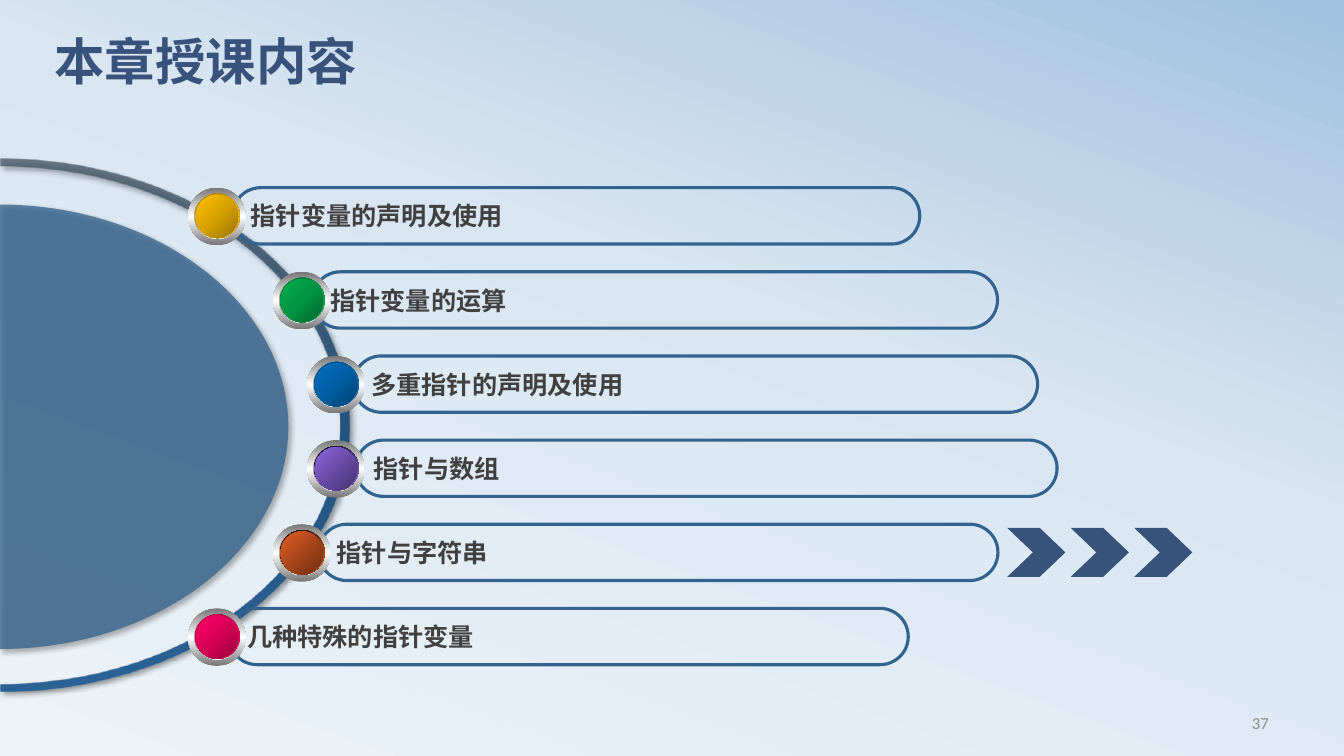
from pptx import Presentation
from pptx import util as u
from pptx.dml.color import RGBColor
from pptx.enum import shapes, text
from pptx.oxml import parse_xml
from pptx.oxml.ns import nsdecls, qn

Cm = u.Cm
TITLE = "本章授课内容"
PAGE = "37"
CJK = "Noto Sans CJK SC"
NAVY, BLUE, GREY, DARK = "39527B", "32628E", "8C8C8C", "404040"

# Gradients: stops as (position, colour), then angle or "circle"
BACKDROP = [(0, "ECF3F8"), (58, "D9E6F2"), (100, "A1C1DE")], 290
RING = [(0, "445462", 75), (50, "24537D"), (100, "2B6295")], 0
OUTER_METAL = [(0, "767676"), (50, "FFFFFF"), (100, "767676")], 90
INNER_METAL = [(0, "A2A2A2"), (50, "FFFFFF"), (100, "A2A2A2")], 0


def glossy(dark, mid, light, face="circle"):
    stops = [(0, dark), (50, mid), (100, light)]
    return (stops, 45), (stops, face)


def black_rimmed(light, dark):
    return ([(0, "000000"), (100, light)], 45), ([(0, light), (100, dark)], 45)


# Topic, pill left, pill width, bead left (cm), bead rim and face
TOPICS = [
    ("指针变量的声明及使用", 5.86, 17.32, 4.74, glossy("977200", "D7A200", "FFC000")),
    ("指针变量的运算", 7.87, 17.27, 6.88, glossy("00682F", "009443", "00B050")),
    ("多重指针的声明及使用", 8.9, 17.25, 7.74, glossy("004272", "005EA2", "0070C0")),
    ("指针与数组", 8.96, 17.68, 7.74, black_rimmed("8D67E1", "45326D")),
    ("指针与字符串", 8.03, 17.12, 6.88, black_rimmed("E35E23", "6E2E11")),
    ("几种特殊的指针变量", 5.77, 17.12, 4.74, glossy("97003C", "D70056", "FF0066", 225)),
]
FIRST_TOP, PITCH, PILL_H = 4.73, 2.12, 1.42
# Bead layers: offset x, offset y, width, height (cm)
BEAD = [(0, 0, 1.45, 1.45), (0.15, 0.15, 1.17, 1.14),
        (0.18, 0.15, 1.12, 1.12), (0.19, 0.18, 1.07, 1.09)]
CURRENT = 4  # row marked by the chevrons
CHEVRON_LEFT, CHEVRON_PITCH, CHEVRON_W, CHEVRON_H = 25.38, 1.6, 1.47, 1.24
# Frames turned by 90 degrees: left, top, width, height (cm)
RING_FRAME = -6.83, 1.78, 13.41, 17.86
DISC_FRAME = -5.61, 3.48, 11.2, 14.55
RING_BAND = 0.25


def rgb(value):
    return RGBColor.from_string(value)


def gradient(sp_fill, parent, stops, direction):
    """Put a gradient in place of the fill held by parent."""
    sp_fill.background()
    marks = ""
    for pos, colour, *alpha in stops:
        opacity = f'<a:alpha val="{alpha[0] * 1000}"/>' if alpha else ""
        marks += f'<a:gs pos="{pos * 1000}"><a:srgbClr val="{colour}">{opacity}</a:srgbClr></a:gs>'
    if direction == "circle":
        way = '<a:path path="circle"><a:fillToRect l="100000" t="100000"/></a:path>'
    else:
        way = f'<a:lin ang="{direction * 60000}" scaled="0"/>'
    xml = f'<a:gradFill {nsdecls("a")} rotWithShape="1"><a:gsLst>{marks}</a:gsLst>{way}</a:gradFill>'
    parent.replace(parent.find(qn("a:noFill")), parse_xml(xml))


def plain(sp):
    sp.shadow.inherit = False
    sp.line.fill.background()
    return sp


def add(parent, kind, *box):
    return plain(parent.shapes.add_shape(kind, *map(Cm, box)))


def style(p, content, colour, **formats):
    r = p.add_run()
    r.text = content
    for name, value in formats.items():
        setattr(r.font, name, value)
    r.font.color.rgb = rgb(colour)
    r.font._element.find(qn("a:latin")).addnext(
        parse_xml(f'<a:ea {nsdecls("a")} typeface="{CJK}"/>'))


def half_ellipse(cx, base, rx, ry):
    """Arch from left to right in the turned frame: start point and two curves."""
    k, top = 0.55, base - ry
    return [(cx - rx, base),
            [(cx - rx, base - k * ry), (cx - k * rx, top), (cx, top)],
            [(cx + k * rx, top), (cx + rx, base - k * ry), (cx + rx, base)]]


def reverse(arch):
    start, rise, fall = arch
    return [fall[2], [fall[1], fall[0], rise[2]], [rise[1], rise[0], start]]


def outline(frame, arches):
    """Closed curved freeform, turned by 90 degrees, with a soft shadow."""
    left, top, width, height = map(Cm, frame)
    builder = s.shapes.build_freeform(0, 0)
    builder.add_line_segments([(width, 0), (width, height)], close=True)
    sp = plain(builder.convert_to_shape(left, top))
    sp.left, sp.top, sp.width, sp.height, sp.rotation = left, top, width, height, 90

    def pt(xy):
        return '<a:pt x="{}" y="{}"/>'.format(*map(Cm, xy))

    steps = ""
    for i, (start, *curves) in enumerate(arches):
        tag = "lnTo" if i else "moveTo"
        steps += f"<a:{tag}>{pt(start)}</a:{tag}>"
        for curve in curves:
            steps += f'<a:cubicBezTo>{"".join(map(pt, curve))}</a:cubicBezTo>'
    spPr = sp._element.spPr
    old = spPr.find(".//" + qn("a:pathLst"))
    old.getparent().replace(old, parse_xml(
        f'<a:pathLst {nsdecls("a")}><a:path w="{width}" h="{height}">{steps}<a:close/></a:path></a:pathLst>'))
    spPr.find(qn("a:effectLst")).append(parse_xml(
        f'<a:outerShdw {nsdecls("a")} blurRad="50800" dist="38100" dir="2700000" algn="tl" '
        'rotWithShape="0"><a:srgbClr val="000000"><a:alpha val="40000"/></a:srgbClr></a:outerShdw>'))
    return sp


prs = Presentation()
prs.slide_width, prs.slide_height = Cm(33.87), Cm(19.05)
s = prs.slides.add_slide(prs.slide_layouts[5])
gradient(s.background.fill, s._element.find(".//" + qn("p:bgPr")), *BACKDROP)

# Title
title = s.shapes.title
title.left, title.top, title.width, title.height = map(Cm, (1.12, 0.92, 30.48, 2.39))
tf = title.text_frame
tf.vertical_anchor = text.MSO_ANCHOR.TOP
p = tf.paragraphs[0]
p.alignment, p.line_spacing = text.PP_ALIGN.LEFT, 0.8
style(p, TITLE, NAVY, size=u.Pt(36), bold=True, name="Calibri")

# Ring
mid, base = RING_FRAME[2] / 2, 8.8
inner = half_ellipse(mid, base, mid - 0.2, base - RING_BAND)
ring = outline(RING_FRAME, [half_ellipse(mid, base, mid, base), reverse(inner)])
gradient(ring.fill, ring._element.spPr, *RING)

# Disc
mid, base = DISC_FRAME[2] / 2, DISC_FRAME[3] / 2
disc = outline(DISC_FRAME, [half_ellipse(mid, base, mid, base)])
disc.fill.solid()
disc.fill.fore_color.rgb = rgb(BLUE)
disc._element.spPr.find(qn("a:solidFill"))[0].append(
    parse_xml(f'<a:alpha {nsdecls("a")} val="75000"/>'))

# Topic pills with their beads
for i, (topic, left, width, bead_left, colours) in enumerate(TOPICS):
    top = FIRST_TOP + i * PITCH
    pill = add(s, shapes.MSO_SHAPE.ROUNDED_RECTANGLE, left, top, width, PILL_H)
    pill.adjustments[0] = 0.5
    pill.fill.background()
    pill.line.color.rgb, pill.line.width = rgb(BLUE), u.Pt(2.25)
    tf = pill.text_frame
    tf.word_wrap, tf.vertical_anchor = False, text.MSO_ANCHOR.MIDDLE
    p = tf.paragraphs[0]
    p.alignment = text.PP_ALIGN.LEFT
    style(p, topic, DARK, size=u.Pt(18), bold=True, name=CJK)

    bead = s.shapes.add_group_shape()
    for (dx, dy, w, h), look in zip(BEAD, (OUTER_METAL, INNER_METAL, *colours)):
        layer = add(bead, shapes.MSO_SHAPE.OVAL, bead_left + dx, top + dy, w, h)
        gradient(layer.fill, layer._element.spPr, *look)

# Chevrons beside the current topic
chevrons = s.shapes.add_group_shape()
chevron_top = FIRST_TOP + CURRENT * PITCH + (PILL_H - CHEVRON_H) / 2
for i in range(3):
    chevron = add(chevrons, shapes.MSO_SHAPE.CHEVRON, CHEVRON_LEFT + i * CHEVRON_PITCH,
                  chevron_top, CHEVRON_W, CHEVRON_H)
    chevron.adjustments[0] = 0.525
    chevron.fill.solid()
    chevron.fill.fore_color.rgb = rgb(NAVY)

# Page number
tf = s.shapes.add_textbox(*map(Cm, (24.33, 17.7, 7.9, 1.02))).text_frame
tf.word_wrap, tf.vertical_anchor = True, text.MSO_ANCHOR.MIDDLE
p = tf.paragraphs[0]
p.alignment = text.PP_ALIGN.RIGHT
style(p, PAGE, GREY, size=u.Pt(12), name="Calibri")

prs.save("out.pptx")
